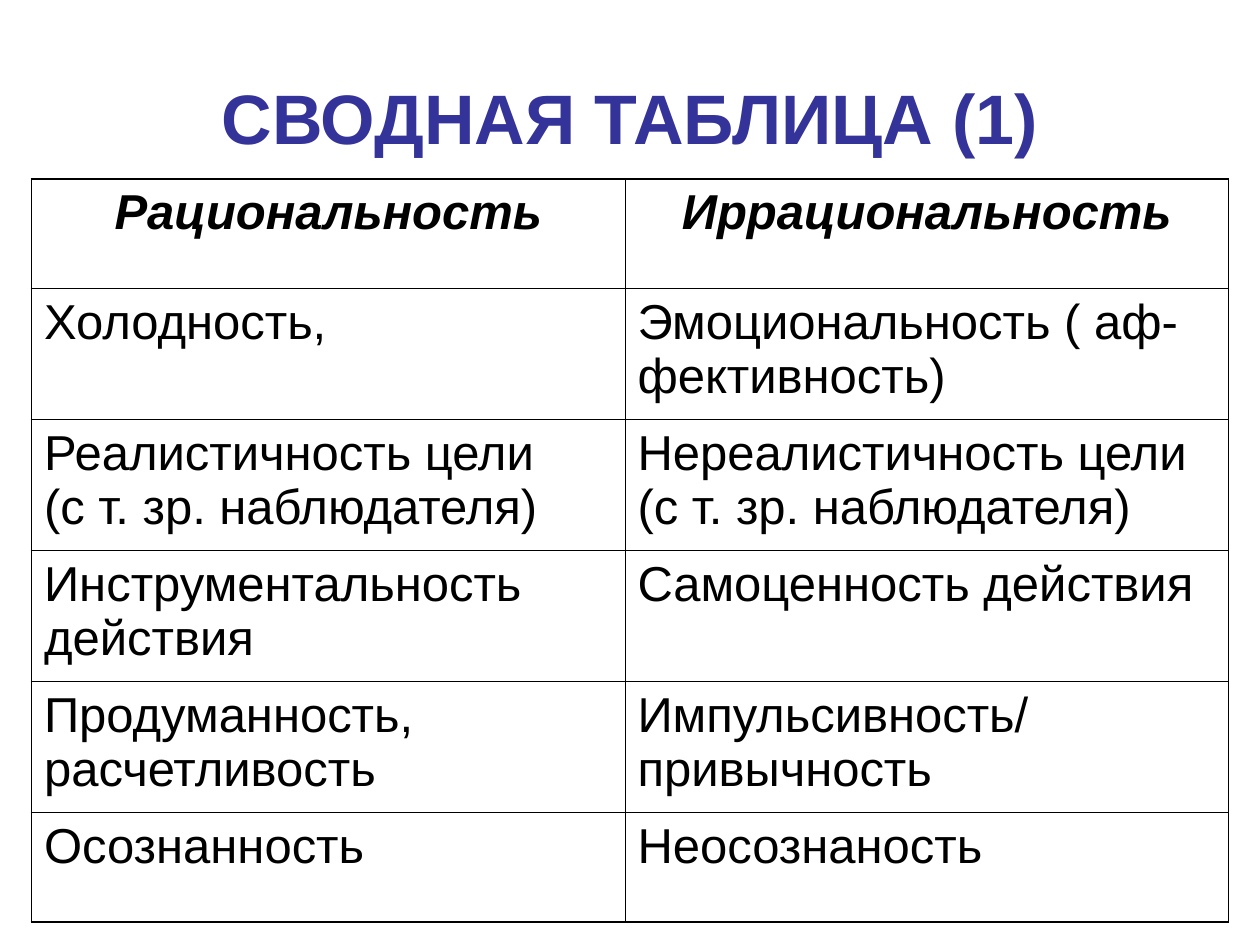
"""Build a slide with a two-column table comparing rationality and irrationality."""
from dataclasses import dataclass

from lxml import etree
from pptx import Presentation
from pptx.dml.color import RGBColor
from pptx.enum import text
from pptx.oxml import ns
from pptx.util import Inches, Pt

BLACK = RGBColor(0x00, 0x00, 0x00)
INDIGO = RGBColor(0x33, 0x33, 0x99)
OUTER_LINE, INNER_LINE = Pt(1.08), Pt(0.45)
COLUMN_WIDTHS = (4.71, 4.79)
ROW_HEIGHTS = (0.87, 1.04, 1.04, 1.04, 1.04, 0.87)

TITLE_FONT = {"name": "Arial", "size": Pt(40), "bold": True}
HEADER_FONT = {"name": "Arial", "size": Pt(28), "bold": True, "italic": True}
BODY_FONT = {"name": "Arial", "size": Pt(28), "bold": False, "italic": False}


@dataclass(frozen=True)
class Contrast:
    rational: str
    irrational: str


CONTRASTS = (
    Contrast("Рациональность", "Иррациональность"),
    Contrast("Холодность,", "Эмоциональность ( аф-фективность)"),
    Contrast("Реалистичность цели \v(с т. зр. наблюдателя)",
             "Нереалистичность цели (с т. зр. наблюдателя)"),
    Contrast("Инструментальность действия", "Самоценность действия"),
    Contrast("Продуманность, расчетливость", "Импульсивность/ привычность"),
    Contrast("Осознанность", "Неосознаность"),
)


def write(frame, words: str, font: dict, color: RGBColor, align) -> None:
    frame.word_wrap = True
    para = frame.paragraphs[0]
    para.text = words
    para.alignment = align
    for span in para.runs:
        for name, value in font.items():
            setattr(span.font, name, value)
        span.font.color.rgb = color


def add_border(cell, side: str, width: int) -> None:
    properties = cell._tc.get_or_add_tcPr()
    line = etree.SubElement(properties, ns.qn(f"a:ln{side}"), w=str(int(width)))
    fill = etree.SubElement(line, ns.qn("a:solidFill"))
    etree.SubElement(fill, ns.qn("a:srgbClr"), val=str(BLACK))


def add_title(page, words: str) -> None:
    box = page.shapes.add_textbox(Inches(0.5), Inches(0.3), Inches(9), Inches(1.25))
    box.text_frame.vertical_anchor = text.MSO_ANCHOR.MIDDLE
    write(box.text_frame, words, TITLE_FONT, INDIGO, text.PP_ALIGN.CENTER)


def add_contrast_table(page, contrasts: tuple[Contrast, ...]) -> None:
    last_row, last_column = len(contrasts) - 1, len(COLUMN_WIDTHS) - 1
    table = page.shapes.add_table(
        len(contrasts), len(COLUMN_WIDTHS), Inches(0.25), Inches(1.42),
        Inches(sum(COLUMN_WIDTHS)), Inches(sum(ROW_HEIGHTS))).table
    table.first_row = table.horz_banding = False
    for column, width in zip(table.columns, COLUMN_WIDTHS):
        column.width = Inches(width)
    for r, (contrast, height) in enumerate(zip(contrasts, ROW_HEIGHTS)):
        table.rows[r].height = Inches(height)
        font = BODY_FONT if r else HEADER_FONT
        align = text.PP_ALIGN.LEFT if r else text.PP_ALIGN.CENTER
        for c, words in enumerate((contrast.rational, contrast.irrational)):
            cell = table.cell(r, c)
            write(cell.text_frame, words, font, BLACK, align)
            outer_sides = {"L": c == 0, "R": c == last_column,
                           "T": r == 0, "B": r == last_row}
            for side, is_outer in outer_sides.items():
                add_border(cell, side, OUTER_LINE if is_outer else INNER_LINE)
            cell.fill.background()
            cell.margin_left = cell.margin_right = Inches(0.1)
            cell.margin_top = cell.margin_bottom = Inches(0.05)


def main() -> None:
    deck = Presentation()
    deck.slide_width, deck.slide_height = Inches(10), Inches(7.5)
    page = deck.slides.add_slide(deck.slide_layouts[6])
    add_title(page, "СВОДНАЯ ТАБЛИЦА (1)")
    add_contrast_table(page, CONTRASTS)
    deck.save("out.pptx")


if __name__ == "__main__":
    main()
